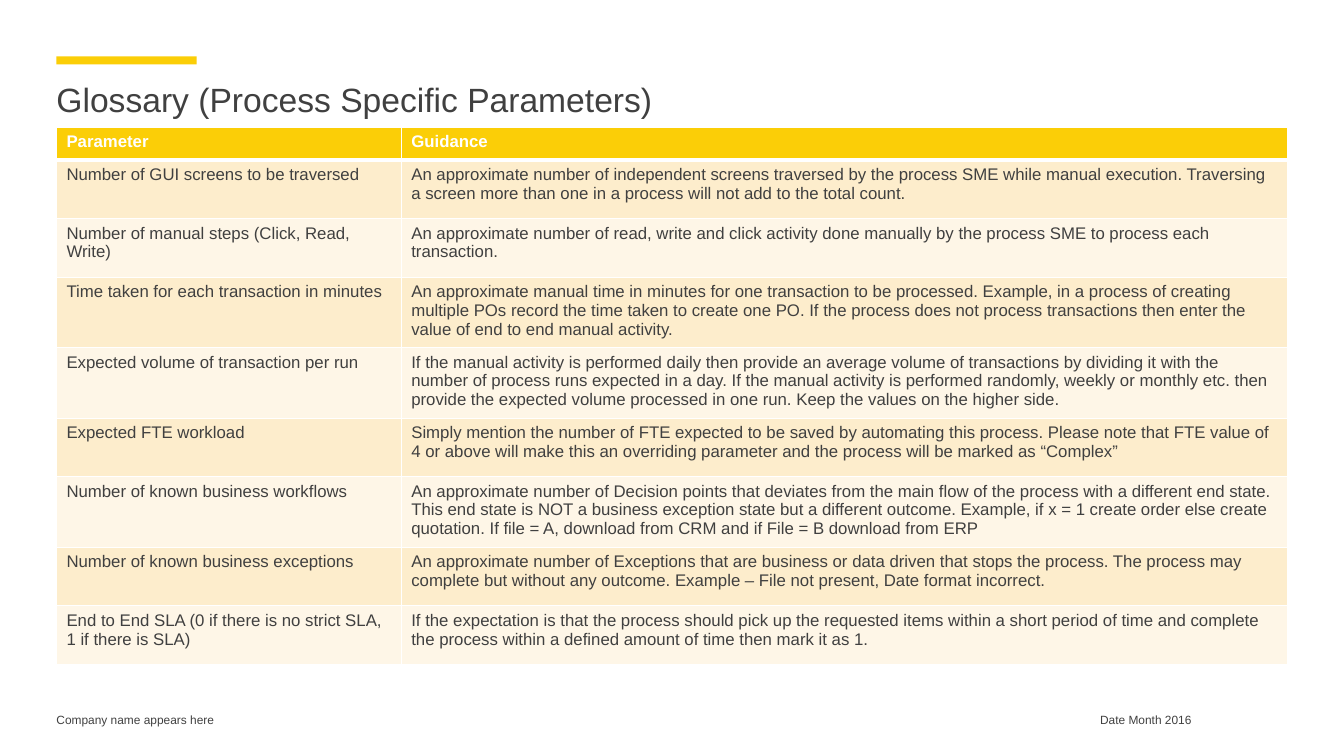
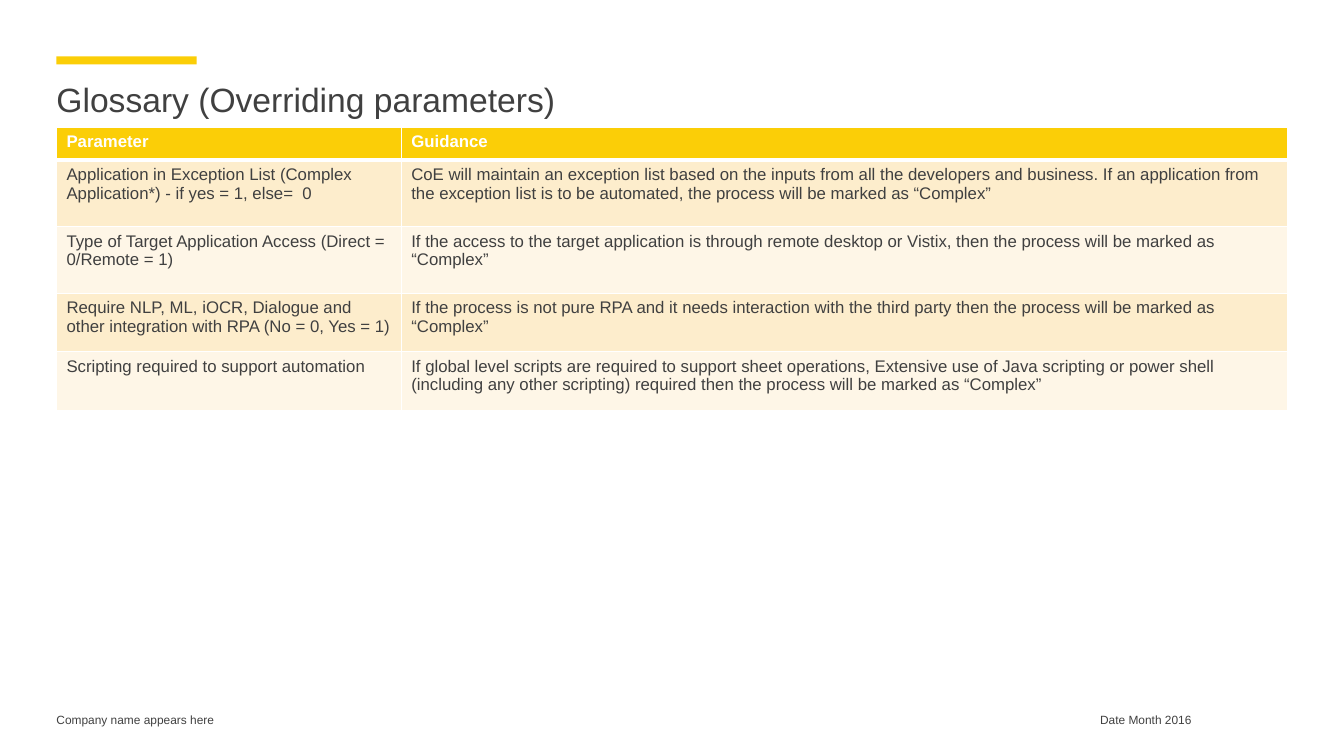
"""Build two glossary slides that share a title band, a table style and a footer."""
from pptx import Presentation
from pptx import util as u
from pptx.dml.color import RGBColor
from pptx.enum import shapes, text
from pptx.oxml import parse_xml
from pptx.oxml.ns import nsdecls

HEADER = ("Parameter", "Guidance")
GLOSSARIES = [
    {
        "title": "Glossary (Process Specific Parameters)",
        "heights": [0.58] * 8,
        "rows": [
            ("Number of GUI screens to be traversed",
             "An approximate number of independent screens traversed by the process SME while manual "
             "execution. Traversing a screen more than one in a process will not add to the total count."),
            ("Number of manual steps (Click, Read, Write)",
             "An approximate number of read, write and click activity done manually by the process SME "
             "to process each transaction."),
            ("Time taken for each transaction in minutes",
             "An approximate manual time in minutes for one transaction to be processed. Example, in a "
             "process of creating multiple POs record the time taken to create one PO. If the process "
             "does not process transactions then enter the value of end to end manual activity."),
            ("Expected volume of transaction per run",
             "If the manual activity is performed daily then provide an average volume of transactions "
             "by dividing it with the number of process runs expected in a day. If the manual activity "
             "is performed randomly, weekly or monthly etc. then provide the expected volume processed "
             "in one run. Keep the values on the higher side."),
            ("Expected FTE workload",
             "Simply mention the number of FTE expected to be saved by automating this process. Please "
             "note that FTE value of 4 or above will make this an overriding parameter and the process "
             "will be marked as “Complex”"),
            ("Number of known business workflows",
             "An approximate number of Decision points that deviates from the main flow of the process "
             "with a different end state. This end state is NOT a business exception state but a "
             "different outcome. Example, if x = 1 create order else create quotation. If file = A, "
             "download from CRM and if File = B download from ERP"),
            ("Number of known business exceptions",
             "An approximate number of Exceptions that are business or data driven that stops the "
             "process. The process may complete but without any outcome. Example – File not present, "
             "Date format incorrect."),
            ("End to End SLA (0 if there is no strict SLA, 1 if there is SLA)",
             "If the expectation is that the process should pick up the requested items within a short "
             "period of time and complete the process within a defined amount of time then mark it as 1."),
        ],
    },
    {
        "title": "Glossary (Overriding parameters)",
        "heights": [0.66, 0.66, 0.58, 0.58],
        "rows": [
            ("Application in Exception List (Complex Application*) - if yes = 1, else=  0",
             "CoE will maintain an exception list based on the inputs from all the developers and "
             "business. If an application from the exception list is to be automated, the process will "
             "be marked as “Complex”"),
            ("Type of Target Application Access (Direct = 0/Remote = 1)",
             "If the access to the target application is through remote desktop or Vistix, then the "
             "process will be marked as “Complex”"),
            ("Require NLP, ML, iOCR, Dialogue and other integration with RPA (No = 0, Yes = 1)",
             "If the process is not pure RPA and it needs interaction with the third party then the "
             "process will be marked as “Complex”"),
            ("Scripting required to support automation",
             "If global level scripts are required to support sheet operations, Extensive use of Java "
             "scripting or power shell (including any other scripting) required then the process will "
             "be marked as “Complex”"),
        ],
    },
]
FOOTERS = [
    ("Company name appears here", 0.56, 3.67, text.PP_ALIGN.LEFT),
    ("Date Month 2016", 10.58, 1.57, text.PP_ALIGN.CENTER),
]
COLORS = {"accent": "FBCE07", "text": "404040", "white": "FFFFFF", "odd": "FDEDCC", "even": "FEF6E7"}
FONT = "Arial"
LEFT, WIDTH = 0.56, 12.22
COLUMNS = (3.42, 8.79)
TABLE_TOP, HEADER_HEIGHT = 1.26, 0.33


def rgb(name):
    return RGBColor.from_string(COLORS[name])


def write(tf, words, size, color="text", bold=False, align=text.PP_ALIGN.LEFT):
    p = tf.paragraphs[0]
    p.alignment = align
    r = p.add_run()
    r.text = words
    r.font.name, r.font.size, r.font.bold = FONT, u.Pt(size), bold
    r.font.color.rgb = rgb(color)


def add_text(s, words, box, size, align=text.PP_ALIGN.LEFT):
    tf = s.shapes.add_textbox(*map(u.Inches, box)).text_frame
    tf.word_wrap = True
    tf.margin_left = tf.margin_right = tf.margin_top = tf.margin_bottom = 0
    write(tf, words, size, align=align)


def add_frame(s, title):
    sp = s.shapes.add_shape(shapes.MSO_SHAPE.RECTANGLE, *map(u.Inches, (LEFT, 0.56, 1.39, 0.08)))
    sp.shadow.inherit = False
    sp.fill.solid()
    sp.fill.fore_color.rgb = rgb("accent")
    sp.line.fill.background()
    add_text(s, title, (LEFT, 0.78, WIDTH, 0.82), 24)
    for words, left, width, align in FOOTERS:
        add_text(s, words, (left, 7.07, width, 0.26), 8.5, align)


def add_borders(cell, row):
    widths = {"L": 1, "R": 1, "T": 3 if row == 1 else 1, "B": 3 if row == 0 else 1}
    for side, width in widths.items():
        cell._tc.get_or_add_tcPr().append(parse_xml(
            f'<a:ln{side} {nsdecls("a")} w="{u.Pt(width)}"><a:solidFill>'
            f'<a:srgbClr val="{COLORS["white"]}"/></a:solidFill></a:ln{side}>'))


def add_glossary(s, rows, heights):
    heights = [HEADER_HEIGHT] + heights
    box = map(u.Inches, (LEFT, TABLE_TOP, WIDTH, sum(heights)))
    table = s.shapes.add_table(len(heights), len(COLUMNS), *box).table
    for column, width in zip(table.columns, COLUMNS):
        column.width = u.Inches(width)
    for i, (words, height) in enumerate(zip([HEADER] + rows, heights)):
        table.rows[i].height = u.Inches(height)
        fill = "accent" if i == 0 else "odd" if i % 2 else "even"
        for j, entry in enumerate(words):
            cell = table.cell(i, j)
            add_borders(cell, i)
            cell.fill.solid()
            cell.fill.fore_color.rgb = rgb(fill)
            write(cell.text_frame, entry, 12, "text" if i else "white", bold=i == 0)


prs = Presentation()
prs.slide_width, prs.slide_height = u.Inches(13.33), u.Inches(7.5)
for glossary in GLOSSARIES:
    s = prs.slides.add_slide(prs.slide_layouts[6])
    add_frame(s, glossary["title"])
    add_glossary(s, glossary["rows"], glossary["heights"])
prs.save("out.pptx")
